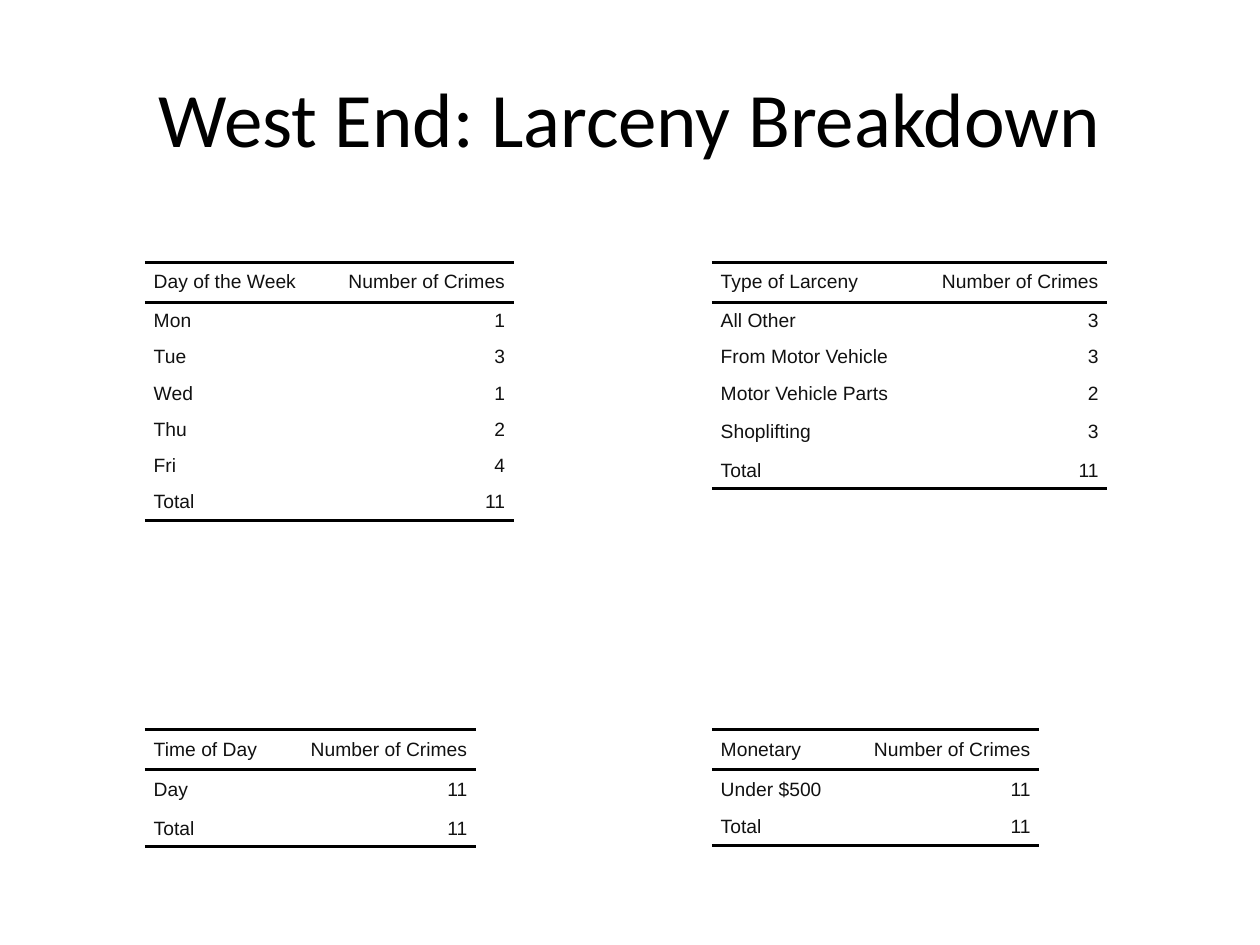
from pptx import Presentation
from pptx import util as u
from pptx.dml.color import RGBColor
from pptx.enum import text
from pptx.oxml import parse_xml
from pptx.oxml.ns import nsdecls

Inches, Pt = u.Inches, u.Pt
COLORS = {"title": "000000", "rule": "000000", "body": "111111"}
INDENT = Inches(0.07)
COUNT_WIDTH = 1.52
LEFT, RIGHT = 1.15, 5.65
TOP, BOTTOM = 2.08, 5.79

# Each breakdown: left, top, label column width, row heights, rows
BREAKDOWNS = [
    (LEFT, TOP, 1.41, [0.32, 0.29, 0.29, 0.29, 0.29, 0.28, 0.29],
     [("Day of the Week", "Number of Crimes"), ("Mon", "1"), ("Tue", "3"),
      ("Wed", "1"), ("Thu", "2"), ("Fri", "4"), ("Total", "11")]),
    (LEFT, BOTTOM, 1.11, [0.32, 0.32, 0.29],
     [("Time of Day", "Number of Crimes"), ("Day", "11"), ("Total", "11")]),
    (RIGHT, TOP, 1.62, [0.32, 0.29, 0.29, 0.29, 0.32, 0.29],
     [("Type of Larceny", "Number of Crimes"), ("All Other", "3"),
      ("From Motor Vehicle", "3"), ("Motor Vehicle Parts", "2"),
      ("Shoplifting", "3"), ("Total", "11")]),
    (RIGHT, BOTTOM, 1.08, [0.32, 0.31, 0.29],
     [("Monetary", "Number of Crimes"), ("Under $500", "11"), ("Total", "11")]),
]


def add_run(paragraph, wording, font_name, size, color):
    run = paragraph.add_run()
    run.text = wording
    run.font.name = font_name
    run.font.size = Pt(size)
    run.font.bold = False
    run.font.color.rgb = RGBColor.from_string(COLORS[color])


def set_borders(cell, ruled):
    """Rule the named sides (T, B) and leave the others without a line."""
    properties = cell._tc.get_or_add_tcPr()
    for side in "LRTB":
        if side in ruled:
            line = (f'<a:solidFill><a:srgbClr val="{COLORS["rule"]}"/></a:solidFill>'
                    '<a:prstDash val="solid"/>')
            width = Pt(2)
        else:
            line, width = "<a:noFill/>", 0
        properties.append(parse_xml(
            f'<a:ln{side} {nsdecls("a")} w="{width}">{line}</a:ln{side}>'))


prs = Presentation()
prs.slide_width, prs.slide_height = Inches(10), Inches(7.5)
slide = prs.slides.add_slide(prs.slide_layouts[5])

# Title
title = slide.shapes.title
title.left, title.top = Inches(0.5), Inches(0.3)
title.width, title.height = Inches(9), Inches(1.25)
title.text_frame.vertical_anchor = text.MSO_ANCHOR.MIDDLE
heading = title.text_frame.paragraphs[0]
heading.alignment = text.PP_ALIGN.CENTER
add_run(heading, "West End: Larceny Breakdown", "Calibri", 44, "title")

# Breakdown tables
for left, top, label_width, heights, rows in BREAKDOWNS:
    frame = slide.shapes.add_table(len(rows), 2, Inches(left), Inches(top),
                                   Inches(4), Inches(3))
    table = frame.table
    table.first_row = table.horz_banding = False
    for column, width in zip(table.columns, (label_width, COUNT_WIDTH)):
        column.width = Inches(width)
    for r, (height, row) in enumerate(zip(heights, rows)):
        table.rows[r].height = Inches(height)
        ruled = "TB" if r == 0 else "B" if r == len(rows) - 1 else ""
        if r == 1:
            ruled += "T"  # shares the rule under the header
        for c, wording in enumerate(row):
            cell = table.cell(r, c)
            set_borders(cell, ruled)
            cell.fill.background()
            cell.vertical_anchor = text.MSO_ANCHOR.MIDDLE
            cell.margin_left = cell.margin_right = 0
            cell.margin_top = cell.margin_bottom = 0
            paragraph = cell.text_frame.paragraphs[0]
            indents = paragraph._p.get_or_add_pPr()
            indents.set("marL", str(INDENT))
            indents.set("marR", str(INDENT))
            indents.set("indent", "0")
            paragraph.alignment = (text.PP_ALIGN.LEFT, text.PP_ALIGN.RIGHT)[c]
            paragraph.space_before = paragraph.space_after = Pt(2)
            add_run(paragraph, wording, "Arial", 11, "body")
    frame.width, frame.height = Inches(4), Inches(3)

prs.save("out.pptx")
